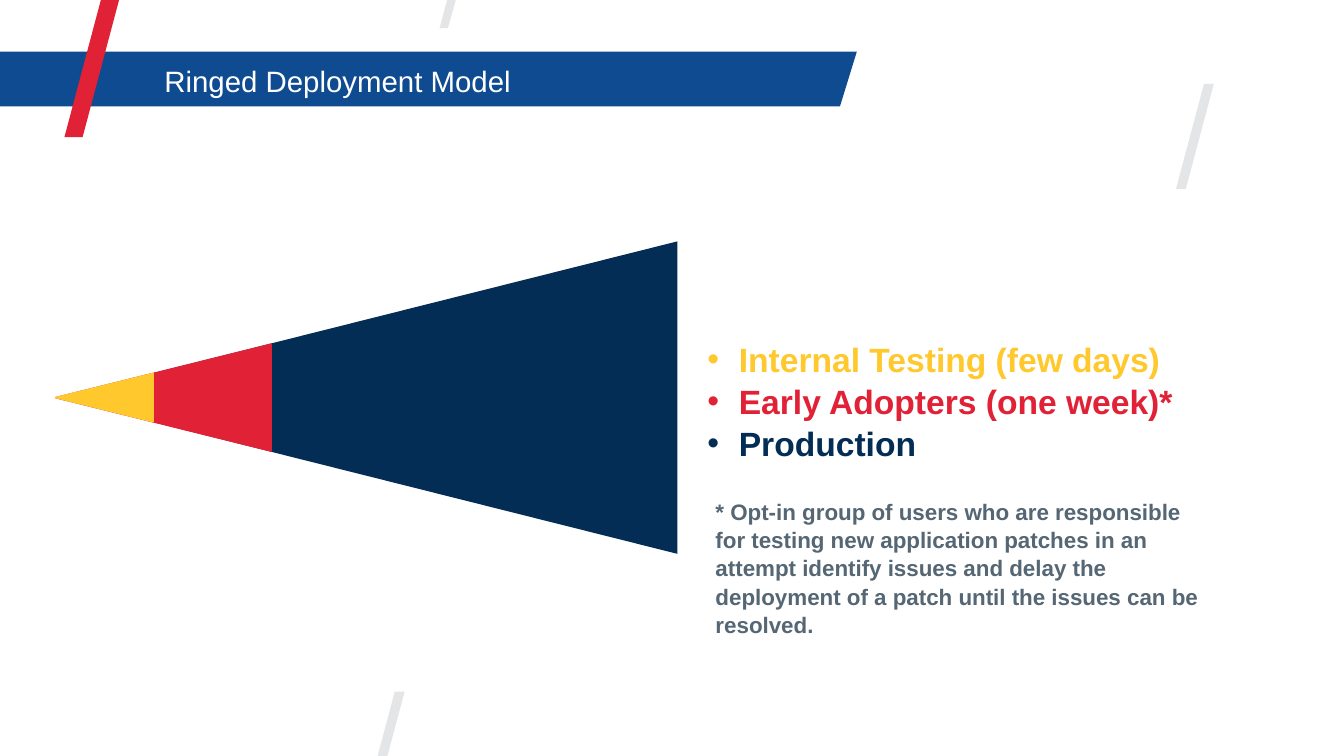
"""Builds the Ringed Deployment Model slide."""
from dataclasses import dataclass

from lxml.etree import SubElement
from pptx import Presentation
from pptx.dml.color import RGBColor
from pptx.enum.shapes import MSO_SHAPE
from pptx.enum.text import MSO_ANCHOR, PP_ALIGN
from pptx.oxml.ns import qn
from pptx.util import Pt


@dataclass(frozen=True)
class Theme:
    font: str = "Arial"
    white: str = "FFFFFF"
    blue: str = "0F4B90"
    navy: str = "042D56"
    red: str = "E02136"
    yellow: str = "FFC82D"
    gray: str = "929BA0"
    slate: str = "556774"
    title_size: float = 21
    ring_size: float = 24
    note_size: float = 16
    line_spacing: float = 1.05


THEME = Theme()
TITLE = "Ringed Deployment Model"
RINGS = [
    ("Internal Testing (few days)", THEME.yellow, 69.8, 34.6, 1),
    ("Early Adopters (one week)*", THEME.red, 154, 76.4, 1),
    ("Production", THEME.navy, 444.2, 223.2, 0),
]
NOTE = (
    "* Opt-in group of users who are responsible for testing new application "
    "patches in an attempt identify issues and delay the deployment of a patch "
    "until the issues can be resolved."
)
BANNER = [(-11.5, 37.4), (612, 37.4), (600.5, 76.3), (-11.5, 76.3)]
RED_SLASH = (46, -44.7, 51.2, 142.8, 12.8)
GRAY_SLASHES = [(840.3, 59.6), (262.1, 494), (313.9, -55.2)]
GRAY_SIZE = (26.7, 75.4, 6.6)
APEX = (39.7, 284)


def color(value):
    return RGBColor.from_string(value)


def paint(shape, fill, alpha=None, line_width=0):
    shape.shadow.inherit = False
    shape.fill.solid()
    shape.fill.fore_color.rgb = color(fill)
    if alpha:
        tint = shape.fill._xPr.find(qn("a:solidFill"))[0]
        SubElement(tint, qn("a:alpha"), val=str(alpha * 1000))
    if line_width:
        shape.line.color.rgb = color(fill)
        shape.line.width = Pt(line_width)
    else:
        shape.line.fill.background()


def add_outline(page, points, fill, alpha=None):
    builder = page.shapes.build_freeform(*points[0], scale=Pt(1))
    builder.add_line_segments(points[1:], close=True)
    paint(builder.convert_to_shape(), fill, alpha)


def add_slash(page, left, top, width, height, thickness, fill, alpha=None):
    right, bottom = left + width, top + height
    points = [(left, bottom), (right - thickness, top),
              (right, top), (left + thickness, bottom)]
    add_outline(page, points, fill, alpha)


def place(box, left, top, width, height):
    box.left, box.top, box.width, box.height = map(Pt, (left, top, width, height))


def write(box, lines, *, size, bold=False, indent=0, anchor=MSO_ANCHOR.TOP):
    frame = box.text_frame
    frame.word_wrap = True
    frame.vertical_anchor = anchor
    for index, (text, ink) in enumerate(lines):
        para = frame.add_paragraph() if index else frame.paragraphs[0]
        para.alignment = PP_ALIGN.LEFT
        para.line_spacing = THEME.line_spacing
        para.space_before = Pt(0)
        if indent:
            properties = para._p.get_or_add_pPr()
            properties.set("marL", str(Pt(indent)))
            properties.set("indent", str(-Pt(indent)))
            SubElement(properties, qn("a:buFont"), typeface=THEME.font)
            SubElement(properties, qn("a:buChar"), char="•")
        span = para.add_run()
        span.text = text
        span.font.name = THEME.font
        span.font.size = Pt(size)
        span.font.bold = bold
        span.font.color.rgb = color(ink)


def add_cone(page):
    cone = page.shapes.add_group_shape()
    apex_x, apex_y = APEX
    for _, fill, length, breadth, line_width in reversed(RINGS):
        left = apex_x + (length - breadth) / 2
        top = apex_y - length / 2
        ring = cone.shapes.add_shape(
            MSO_SHAPE.ISOSCELES_TRIANGLE, *map(Pt, (left, top, breadth, length)))
        ring.rotation = 270
        paint(ring, fill, line_width=line_width)


def main():
    deck = Presentation()
    deck.slide_width, deck.slide_height = Pt(960), Pt(540)
    page = deck.slides.add_slide(deck.slide_layouts[5])

    add_outline(page, BANNER, THEME.blue)
    add_slash(page, *RED_SLASH, THEME.red)
    title = page.shapes.title
    page.shapes.element.append(title.element)
    place(title, 110.2, 41, 438.5, 32.4)
    write(title, [(TITLE, THEME.white)], size=THEME.title_size,
          anchor=MSO_ANCHOR.MIDDLE)

    for left, top in GRAY_SLASHES:
        add_slash(page, left, top, *GRAY_SIZE, THEME.gray, alpha=25)

    legend = page.shapes.add_textbox(*map(Pt, (498.2, 236.9, 369.4, 94.3)))
    write(legend, [ring[:2] for ring in RINGS], size=THEME.ring_size,
          bold=True, indent=22.5)
    add_cone(page)

    note = page.shapes.add_textbox(*map(Pt, (504, 351.4, 362.9, 104.4)))
    paint(note, THEME.white)
    write(note, [(NOTE, THEME.slate)], size=THEME.note_size, bold=True)

    deck.save("out.pptx")


if __name__ == "__main__":
    main()
